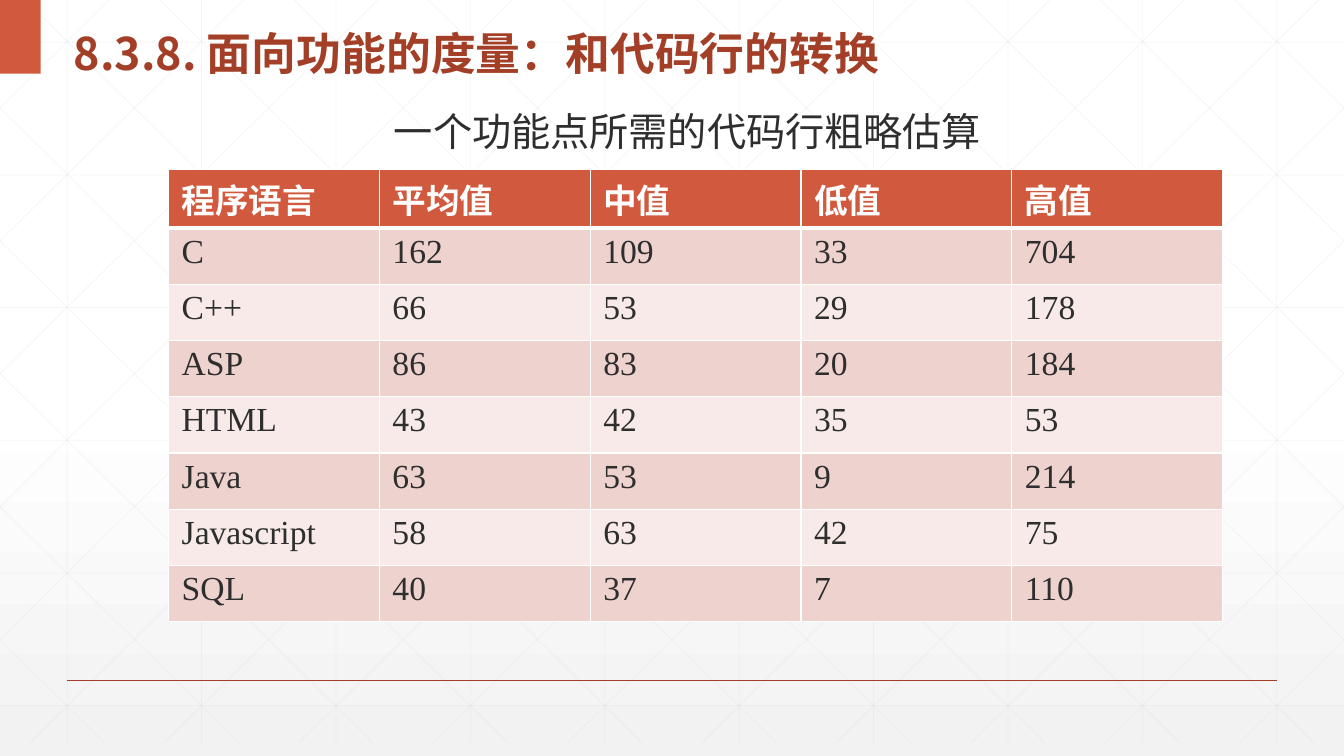
from copy import deepcopy

from lxml.etree import SubElement
from pptx import Presentation
from pptx.dml.color import RGBColor
from pptx.enum.shapes import MSO_CONNECTOR, MSO_SHAPE
from pptx.enum.text import MSO_ANCHOR, MSO_AUTO_SIZE, PP_ALIGN
from pptx.oxml import parse_xml
from pptx.oxml.ns import nsdecls, qn
from pptx.util import Pt

TITLE = "8.3.8. 面向功能的度量：和代码行的转换"
CAPTION = "一个功能点所需的代码行粗略估算"
HEADER = ("程序语言", "平均值", "中值", "低值", "高值")
ESTIMATES = [
    ("C", 162, 109, 33, 704),
    ("C++", 66, 53, 29, 178),
    ("ASP", 86, 83, 20, 184),
    ("HTML", 43, 42, 35, 53),
    ("Java", 63, 53, 9, 214),
    ("Javascript", 58, 63, 42, 75),
    ("SQL", 40, 37, 7, 110),
]

WIDTH, HEIGHT = 960, 540
GRID_BOTTOM, GRID_STEP, ROW_STEP, DIAGONAL_RUN = 530.64, 96, 94.75, 536.7
WHITE, INK, RED, DARK_RED = "FFFFFF", "2D2E2D", "D15A3E", "A43F27"
GRID_GRAY, PALE_GRAY = "D9D9D9", "F2F2F2"
BANDS = ("EED2CE", "F7EAE8")
SANS, SERIF = "Noto Sans CJK SC", "Times New Roman"
TITLE_FONT = {"name": SANS, "size": Pt(32), "bold": True}
CAPTION_FONT = {"name": SERIF, "size": Pt(28)}
HEADER_FONT = {"name": SERIF, "size": Pt(24), "bold": True}
BODY_FONT = {"name": SERIF, "size": Pt(24), "bold": False}


def rgb(hex_color):
    return RGBColor.from_string(hex_color)


def write(frame, text, font, color):
    paragraph = frame.paragraphs[0]
    run = paragraph.add_run()
    run.text = text
    for key, value in font.items():
        setattr(run.font, key, value)
    run.font.color.rgb = rgb(color)
    run.font._element.append(parse_xml(f'<a:ea {nsdecls("a")} typeface="{SANS}"/>'))
    return paragraph


def set_opacity(color_parent, percent):
    color = color_parent.find(".//" + qn("a:srgbClr"))
    SubElement(color, qn("a:alpha")).set("val", str(percent * 1000))


def add_line(shapes, start, end, color, width):
    line = shapes.add_connector(MSO_CONNECTOR.STRAIGHT, *map(Pt, start + end))
    line.line.color.rgb = rgb(color)
    line.line.width = Pt(width)
    SubElement(line._element.spPr, qn("a:effectLst"))
    return line


def set_borders(cell, widths):
    """Draw white borders; widths are left, right, top, bottom."""
    properties = cell._tc.get_or_add_tcPr()
    for index, (side, width) in enumerate(zip("LRTB", widths)):
        properties.insert(index, parse_xml(
            f'<a:ln{side} {nsdecls("a")} w="{Pt(width)}"><a:solidFill>'
            f'<a:srgbClr val="{WHITE}"/></a:solidFill></a:ln{side}>'))


def grid_lines():
    """Yield the ends of the background lines, diagonals cut at the slide sides."""
    for column in range(10):
        x = 48 + column * GRID_STEP
        yield (x, 0), (x, GRID_BOTTOM)
    for row in range(6):
        y = 30.24 + row * ROW_STEP
        yield (0, y), (WIDTH, y)
    for index in range(-5, 10):
        top_x = 18 + index * GRID_STEP
        left, right = max(0, top_x), min(WIDTH, top_x + DIAGONAL_RUN)
        y1, y2 = ((x - top_x) * GRID_BOTTOM / DIAGONAL_RUN for x in (left, right))
        yield (left, y1), (right, y2)
        yield (WIDTH - left, y1), (WIDTH - right, y2)


def paint_background(slide):
    fill = slide.background.fill
    fill.gradient()
    fill.gradient_angle = 270
    first = fill.gradient_stops[0]._gs
    first.addnext(deepcopy(first))
    stops = zip(fill.gradient_stops, (0, 0.53, 1), (WHITE, WHITE, PALE_GRAY))
    for stop, position, color in stops:
        stop.position = position
        stop.color.rgb = rgb(color)
    set_opacity(fill.gradient_stops[2]._gs, 65)


def add_decoration(shapes):
    grid = shapes.add_group_shape()
    for start, end in grid_lines():
        line = add_line(grid.shapes, start, end, GRID_GRAY, 0.5)
        set_opacity(line._element.spPr, 25)
    add_line(shapes, (48, 486), (912, 486), DARK_RED, 1)
    corner = shapes.add_shape(MSO_SHAPE.RECTANGLE, 0, 0, Pt(29), Pt(52.6))
    corner.shadow.inherit = False
    corner.fill.solid()
    corner.fill.fore_color.rgb = rgb(RED)
    corner.line.fill.background()


def add_title(shapes):
    title = shapes.title
    title.left, title.top, title.width, title.height = map(Pt, (45.4, 5.8, 732, 52.6))
    frame = title.text_frame
    frame.word_wrap = True
    frame.auto_size = MSO_AUTO_SIZE.NONE
    frame.vertical_anchor = MSO_ANCHOR.MIDDLE
    heading = write(frame, TITLE, TITLE_FONT, DARK_RED)
    heading.alignment = PP_ALIGN.LEFT
    heading.line_spacing = 1.3
    title._element.getparent().append(title._element)  # in front of the grid


def add_estimates(shapes):
    rows = [HEADER, *ESTIMATES]
    box = map(Pt, (120.4, 121, 753, 321.2))
    table = shapes.add_table(len(rows), len(HEADER), *box).table
    for r, values in enumerate(rows):
        is_header = r == 0
        font, color = (HEADER_FONT, WHITE) if is_header else (BODY_FONT, INK)
        for c, value in enumerate(values):
            cell = table.cell(r, c)
            cell.margin_left = cell.margin_right = Pt(9.4)
            cell.fill.solid()
            cell.fill.fore_color.rgb = rgb(RED if is_header else BANDS[(r - 1) % 2])
            set_borders(cell, (1, 1, 3 if r == 1 else 1, 3 if is_header else 1))
            write(cell.text_frame, str(value), font, color)


def main():
    deck = Presentation()
    deck.slide_width, deck.slide_height = Pt(WIDTH), Pt(HEIGHT)
    slide = deck.slides.add_slide(deck.slide_layouts[5])
    paint_background(slide)
    add_decoration(slide.shapes)
    add_title(slide.shapes)
    add_estimates(slide.shapes)
    caption = slide.shapes.add_textbox(*map(Pt, (274.3, 73.4, 438.5, 41))).text_frame
    caption.word_wrap = False
    caption.auto_size = MSO_AUTO_SIZE.SHAPE_TO_FIT_TEXT
    write(caption, CAPTION, CAPTION_FONT, INK)
    deck.save("out.pptx")


if __name__ == "__main__":
    main()
